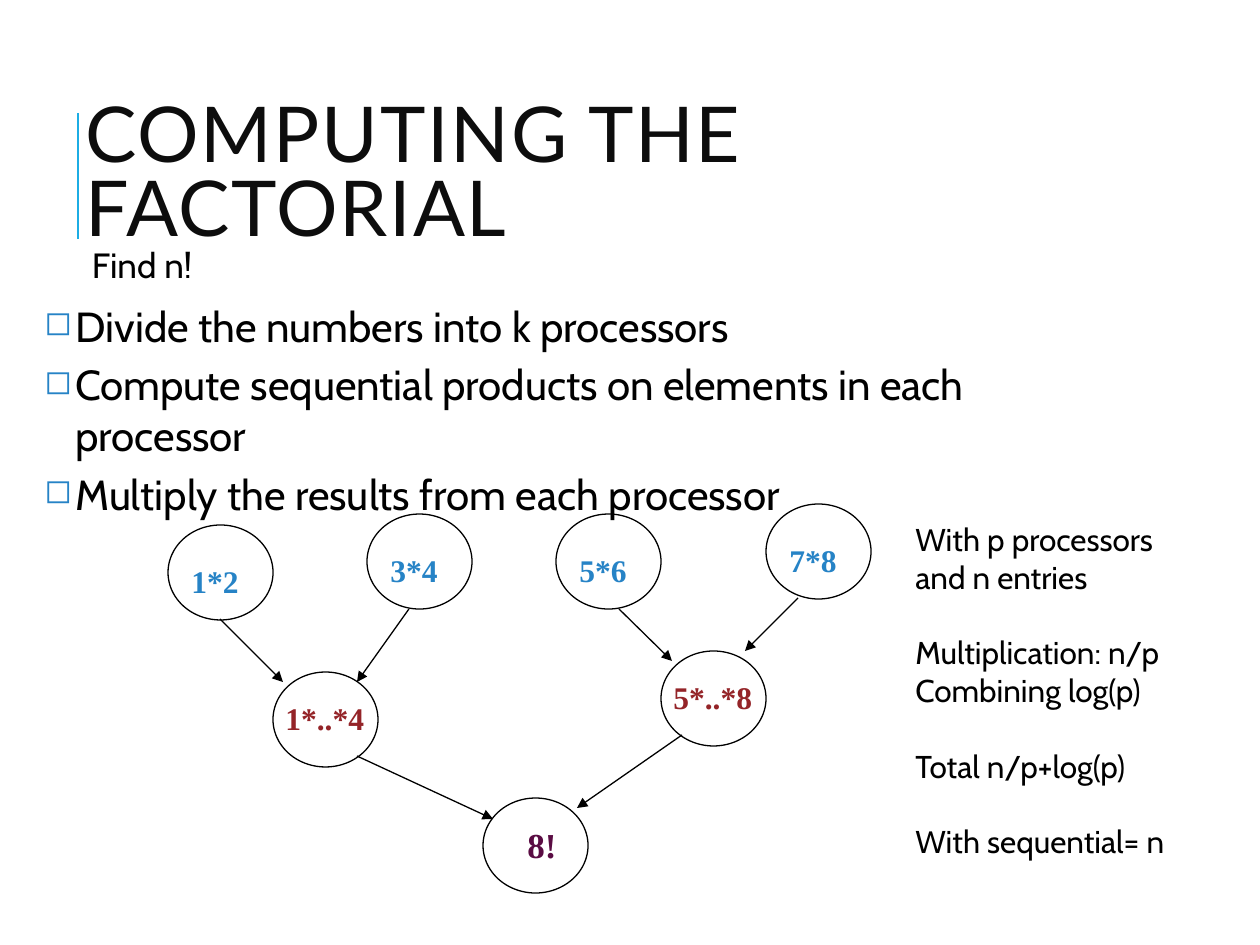
from dataclasses import dataclass
from typing import Any

from lxml.etree import SubElement
from pptx import Presentation
from pptx.dml.color import RGBColor
from pptx.enum.shapes import MSO_CONNECTOR, MSO_SHAPE
from pptx.enum.text import MSO_ANCHOR
from pptx.oxml.ns import qn
from pptx.util import Emu, Pt

PX_PER_INCH = 126
BLACK, BLUE, RED, PURPLE = "000000", "2683C6", "942428", "5A0C43"
NODE_W, NODE_H = 105, 95
LINE_PT = 21.5


def px(n: int) -> Emu:
    return Emu(round(n * 914400 / PX_PER_INCH))


def rgb(value: str) -> RGBColor:
    return RGBColor.from_string(value)


def assign(obj: Any, values: dict[str, Any]) -> None:
    for name, value in values.items():
        setattr(obj, name, value)


@dataclass(frozen=True)
class Font:
    name: str
    size: int
    color: str = BLACK
    bold: bool = False


@dataclass(frozen=True)
class Level:
    """One tree level: label font, and label box relative to its circle."""
    font: Font
    dx: int
    dy: int
    w: int
    h: int


@dataclass(frozen=True)
class Node:
    text: str
    x: int
    y: int
    level: Level


@dataclass(frozen=True)
class Arrow:
    x1: int
    y1: int
    x2: int
    y2: int


SERIF = "Times New Roman"
PAIR = Level(Font(SERIF, 18, BLUE, True), 11, 31, 73, 50)
HALF = Level(Font(SERIF, 18, RED, True), 0, 21, 105, 50)
ROOT = Level(Font(SERIF, 20, PURPLE, True), 32, 19, 54, 54)

NODES = [
    Node("1*2", 168, 525, PAIR),
    Node("3*4", 367, 514, PAIR),
    Node("5*6", 556, 514, PAIR),
    Node("7*8", 766, 504, PAIR),
    Node("1*..*4", 273, 672, HALF),
    Node("5*..*8", 661, 651, HALF),
    Node("8!", 483, 798, ROOT),
]
ARROWS = [
    Arrow(220, 619, 283, 682),
    Arrow(409, 609, 357, 682),
    Arrow(619, 609, 672, 661),
    Arrow(798, 598, 745, 651),
    Arrow(357, 756, 493, 819),
    Arrow(682, 735, 577, 808),
]
STEPS = [
    "Divide the numbers into k processors",
    "Compute sequential products on elements in each processor",
    "Multiply the results from each processor",
]
COST_GROUPS = [
    ["With p processors and n entries"],
    ["Multiplication: n/p", "Combining log(p)"],
    ["Total n/p+log(p)"],
    ["With sequential= n"],
]


def add_text(s, x: int, y: int, w: int, h: int, lines: list[str], font: Font,
             wrap: bool = True, **frame: Any):
    tf = s.shapes.add_textbox(px(x), px(y), px(w), px(h)).text_frame
    assign(tf, {"word_wrap": wrap, **frame})
    for i, line in enumerate(lines):
        p = tf.paragraphs[0] if i == 0 else tf.add_paragraph()
        r = p.add_run()
        r.text = line
        assign(r.font, {"name": font.name, "size": Pt(font.size), "bold": font.bold})
        r.font.color.rgb = rgb(font.color)
    return tf


def add_line(s, a: Arrow, color: str, width: float, arrowhead: bool = False) -> None:
    cx = s.shapes.add_connector(MSO_CONNECTOR.STRAIGHT, px(a.x1), px(a.y1), px(a.x2), px(a.y2))
    cx.line.width = Pt(width)
    cx.line.color.rgb = rgb(color)
    if arrowhead:
        SubElement(cx.line._get_or_add_ln(), qn("a:tailEnd"), type="triangle")
    SubElement(cx._element.spPr, qn("a:effectLst"))


def add_node(s, n: Node) -> None:
    sp = s.shapes.add_shape(MSO_SHAPE.OVAL, px(n.x), px(n.y), px(NODE_W), px(NODE_H))
    sp.shadow.inherit = False
    sp.fill.background()
    sp.line.color.rgb = rgb(BLACK)
    sp.line.width = Pt(0.75)
    lv = n.level
    add_text(s, n.x + lv.dx, n.y + lv.dy, lv.w, lv.h, [n.text], lv.font, wrap=False)


def add_bullet(p) -> None:
    pPr = p._p.get_or_add_pPr()
    pPr.set("marL", str(px(63)))
    pPr.set("indent", str(-px(31)))
    SubElement(SubElement(pPr, qn("a:buClr")), qn("a:srgbClr"), val=BLUE)
    SubElement(pPr, qn("a:buSzPct"), val="80000")
    SubElement(pPr, qn("a:buChar"), char="◻")


def add_header(s) -> None:
    add_line(s, Arrow(78, 239, 78, 113), "1CADE4", 1.5)
    tf = add_text(s, 73, 98, 998, 158, ["COMPUTING THE FACTORIAL"],
                  Font("Lato", 44, "0D0D0D"), vertical_anchor=MSO_ANCHOR.MIDDLE)
    p = tf.paragraphs[0]
    p.line_spacing = 0.8
    p.runs[0].font._element.set("spc", "100")
    inset = px(6)
    tf = add_text(s, 86, 242, 1121, 105, ["Find n!"], Font("Cabin", 20),
                  margin_left=inset, margin_top=inset)
    tf.paragraphs[0].line_spacing = 0.9


def add_steps(s) -> None:
    tf = add_text(s, 0, 294, 1116, 237, STEPS, Font("Cabin", 24))
    for p in tf.paragraphs:
        p.space_before = Pt(4.8)
        add_bullet(p)


def add_costs(s) -> None:
    lines = [line for group in COST_GROUPS for line in group]
    tf = add_text(s, 903, 514, 305, 357, lines, Font("Cabin", 18))
    group_starts = {group[0] for group in COST_GROUPS[1:]}
    for p in tf.paragraphs:
        if p.text in group_starts:
            p.space_before = Pt(LINE_PT)


def main() -> None:
    prs = Presentation()
    assign(prs, {"slide_width": px(1260), "slide_height": px(945)})
    s = prs.slides.add_slide(prs.slide_layouts[6])
    add_header(s)
    add_steps(s)
    for node in NODES:
        add_node(s, node)
    for arrow in ARROWS:
        add_line(s, arrow, BLACK, 0.75, arrowhead=True)
    add_costs(s)
    prs.save("out.pptx")


if __name__ == "__main__":
    main()
